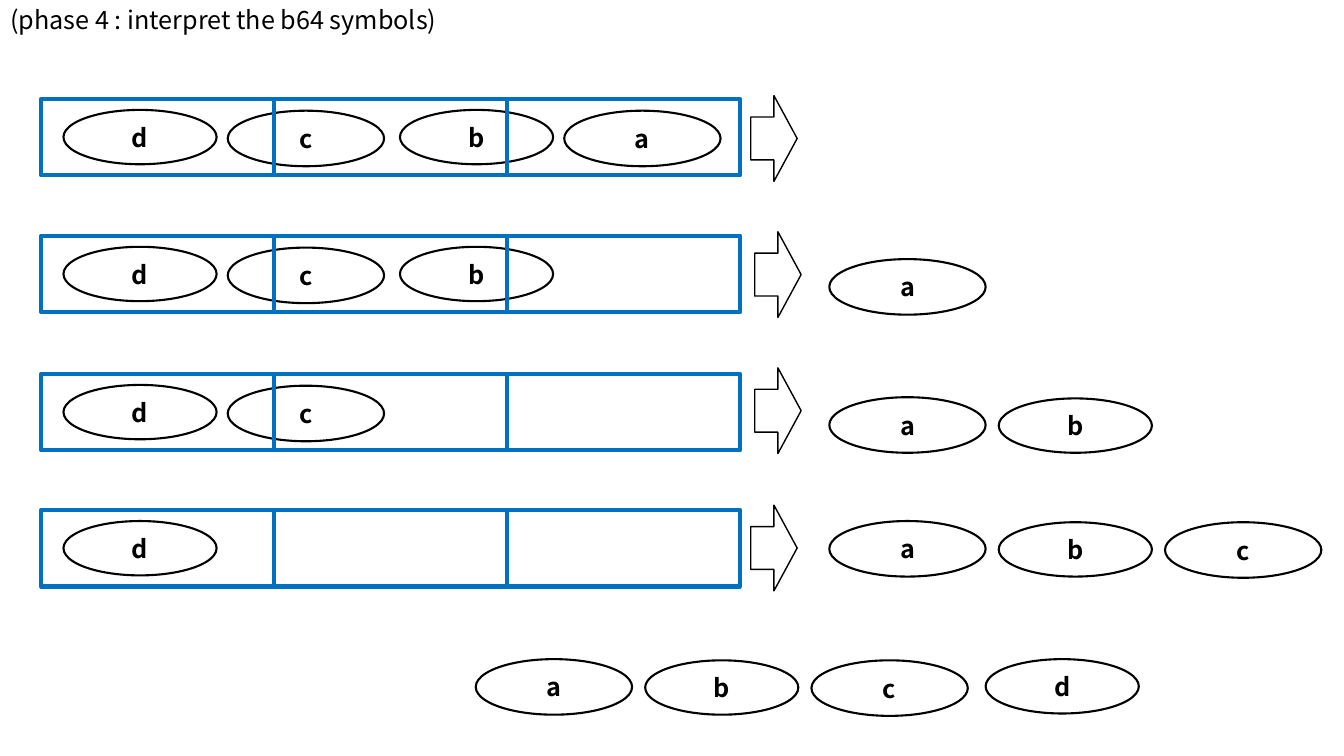
from dataclasses import dataclass
from typing import Any

from pptx import Presentation
from pptx.dml.color import RGBColor
from pptx.enum.shapes import MSO_SHAPE
from pptx.enum.text import MSO_ANCHOR, MSO_AUTO_SIZE, PP_ALIGN
from pptx.util import Cm, Pt

OVAL, BOX, ARROW = MSO_SHAPE.OVAL, MSO_SHAPE.RECTANGLE, MSO_SHAPE.RIGHT_ARROW
TOP, MIDDLE = MSO_ANCHOR.TOP, MSO_ANCHOR.MIDDLE
LEFT, CENTER = PP_ALIGN.LEFT, PP_ALIGN.CENTER
NO_AUTOFIT = MSO_AUTO_SIZE.NONE


@dataclass(frozen=True)
class Theme:
    ink: RGBColor = RGBColor(0, 0, 0)
    paper: RGBColor = RGBColor(255, 255, 255)
    byte_edge: RGBColor = RGBColor(0x00, 0x70, 0xC0)
    font: str = "Noto Sans CJK KR"
    text_size: Pt = Pt(18)
    symbol_line: Pt = Pt(1.5)
    byte_line: Pt = Pt(3)
    arrow_line: Pt = Pt(1)


@dataclass(frozen=True)
class Symbol:
    """Size of a b64 symbol and its place in the buffer and in the output (cm)."""
    width: float
    height: float
    buffer_left: float
    buffer_drop: float
    output_shift: float
    output_drop: float


@dataclass(frozen=True)
class Phase:
    """One line of the diagram (cm)."""
    buffer_top: float
    arrow_left: float
    arrow_top: float
    output_top: float


THEME = Theme()
SYMBOLS = {
    "a": Symbol(3.94, 1.4, 14.22, 0.3, 0, 0),
    "b": Symbol(3.86, 1.37, 10.08, 0.28, 4.27, 0.03),
    "c": Symbol(3.94, 1.4, 5.74, 0.3, 8.46, 0.03),
    "d": Symbol(3.86, 1.37, 1.6, 0.28, 12.85, 0),
}
PHASES = [
    Phase(2.49, 18.92, 2.41, 0),
    Phase(5.94, 19.02, 5.84, 6.53),
    Phase(9.42, 19.02, 9.27, 10.01),
    Phase(12.85, 18.92, 12.73, 13.13),
]
ORDER = "abcd"
BYTE_COUNT, BYTE_LEFT, BYTE_WIDTH, BYTE_HEIGHT = 3, 1.04, 5.87, 1.93
ARROW_WIDTH, ARROW_HEIGHT = 1.17, 2.16
OUTPUT_LEFT = 20.9
RESULT_LEFT, RESULT_TOP = 11.99, 16.61


def apply_format(target: Any, values: dict[str, Any]) -> None:
    for name, value in values.items():
        setattr(target, name, value)


def write(shape: Any, text: str, bold: bool, align: Any, frame_format: dict[str, Any]) -> None:
    frame = shape.text_frame
    frame.text = text
    apply_format(frame, frame_format)
    paragraph = frame.paragraphs[0]
    apply_format(paragraph, {"alignment": align, "line_spacing": 1.0})
    font = paragraph.runs[0].font
    apply_format(font, {"name": THEME.font, "size": THEME.text_size, "bold": bold})
    font.color.rgb = THEME.ink


def draw(slide: Any, kind: Any, left: float, top: float, width: float, height: float,
         edge: RGBColor, line_width: Pt, filled: bool = True) -> Any:
    shape = slide.shapes.add_shape(kind, Cm(left), Cm(top), Cm(width), Cm(height))
    shape.shadow.inherit = False
    if filled:
        shape.fill.solid()
        shape.fill.fore_color.rgb = THEME.paper
    else:
        shape.fill.background()
    shape.line.color.rgb = edge
    shape.line.width = line_width
    return shape


def draw_symbol(slide: Any, letter: str, left: float, top: float) -> None:
    symbol = SYMBOLS[letter]
    oval = draw(slide, OVAL, left, top, symbol.width, symbol.height,
                THEME.ink, THEME.symbol_line)
    write(oval, letter, True, CENTER, {"vertical_anchor": MIDDLE})


def draw_output(slide: Any, letters: str, left: float, top: float) -> None:
    for letter in letters:
        symbol = SYMBOLS[letter]
        draw_symbol(slide, letter, left + symbol.output_shift, top + symbol.output_drop)


def draw_phase(slide: Any, phase: Phase, released: int) -> None:
    # Symbols still in the buffer, under the byte frames
    for letter in ORDER[released:]:
        symbol = SYMBOLS[letter]
        draw_symbol(slide, letter, symbol.buffer_left, phase.buffer_top + symbol.buffer_drop)
    for index in range(BYTE_COUNT):
        draw(slide, BOX, BYTE_LEFT + index * BYTE_WIDTH, phase.buffer_top,
             BYTE_WIDTH, BYTE_HEIGHT, THEME.byte_edge, THEME.byte_line, filled=False)
    # Shift arrow and the symbols already released
    draw(slide, ARROW, phase.arrow_left, phase.arrow_top, ARROW_WIDTH, ARROW_HEIGHT,
         THEME.ink, THEME.arrow_line)
    draw_output(slide, ORDER[:released], OUTPUT_LEFT, phase.output_top)


presentation = Presentation()
apply_format(presentation, {"slide_width": Cm(33.87), "slide_height": Cm(19.05)})
title_only = presentation.slide_layouts[5]
slide = presentation.slides.add_slide(title_only)

# Heading
heading = slide.shapes.title
apply_format(heading, {"left": Cm(0), "top": Cm(-0.03), "width": Cm(11.35), "height": Cm(1.02)})
write(heading, "(phase 4 : interpret the b64 symbols)", False, LEFT,
      {"vertical_anchor": TOP, "word_wrap": False, "auto_size": NO_AUTOFIT})

# Buffer emptied one symbol at a time
for released, phase in enumerate(PHASES):
    draw_phase(slide, phase, released)

# Final symbol sequence
draw_output(slide, ORDER, RESULT_LEFT, RESULT_TOP)

presentation.save("out.pptx")
